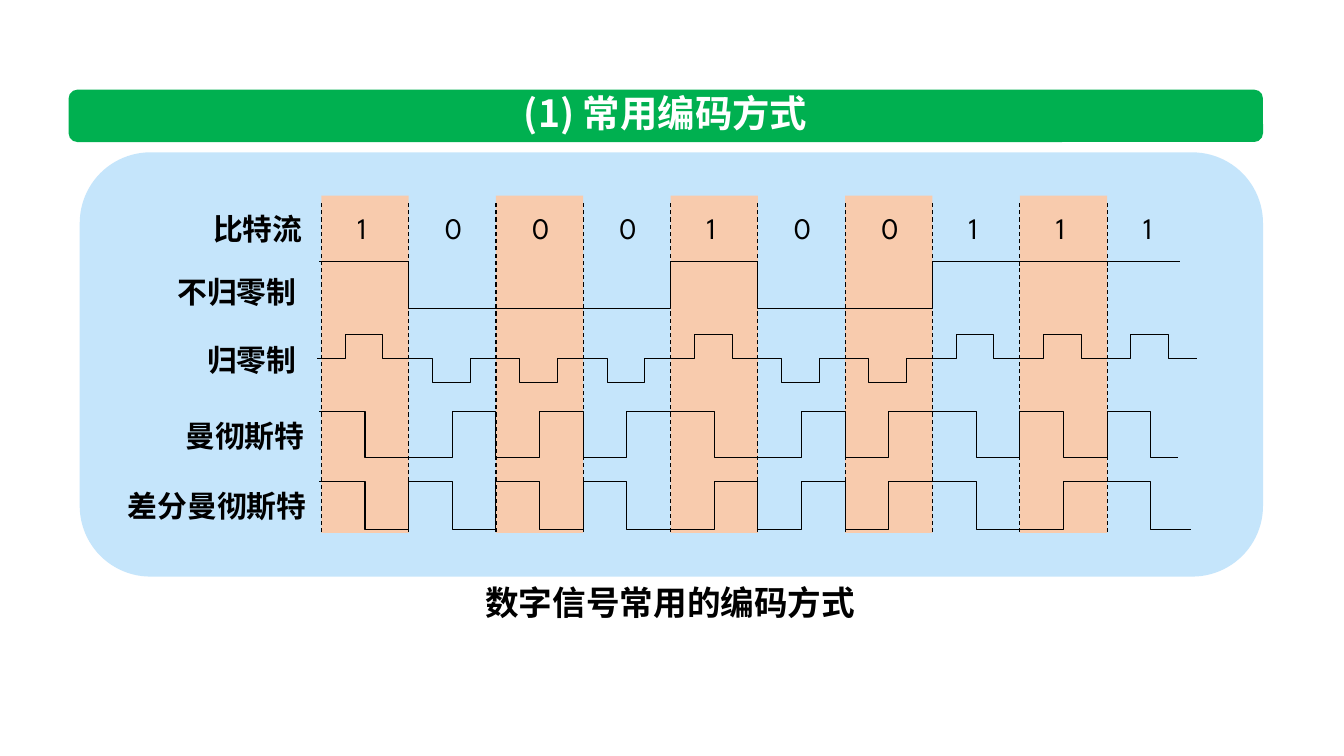
from dataclasses import dataclass

import lxml.etree
import pptx
import pptx.dml.color
import pptx.enum.dml
import pptx.enum.shapes
import pptx.enum.text
import pptx.oxml.ns
import pptx.shapes.autoshape
import pptx.shapes.base
import pptx.slide
import pptx.text.text
import pptx.util

Cm = pptx.util.Cm
Align = pptx.enum.text.PP_ALIGN
Anchor = pptx.enum.text.MSO_ANCHOR
Preset = pptx.enum.shapes.MSO_SHAPE


@dataclass(frozen=True)
class Theme:
    heading_bar: str = "00B050"
    panel: str = "C5E5FB"
    band: str = "F8CBAD"
    ink: str = "000000"
    heading_ink: str = "FFFFFF"
    chinese_font: str = "Noto Sans CJK SC"
    digit_font: str = "League Spartan"
    heading_size: float = 26.7
    caption_size: float = 24
    label_size: float = 21.3
    line_width: float = 0.75


@dataclass(frozen=True)
class Box:
    left: float
    top: float
    width: float
    height: float

    def lengths(self) -> tuple[Cm, Cm, Cm, Cm]:
        return Cm(self.left), Cm(self.top), Cm(self.width), Cm(self.height)


@dataclass(frozen=True)
class TextStyle:
    font: str
    size: float
    color: str
    bold: bool = True
    align: Align = Align.CENTER


@dataclass(frozen=True)
class RowLabel:
    text: str
    right: float
    top: float


@dataclass(frozen=True)
class Wave:
    """One signal: a high/low level for each half bit, drawn between two heights."""
    levels: list[int]
    high: float
    low: float
    end: float


THEME = Theme()
HEADING = TextStyle(THEME.chinese_font, THEME.heading_size, THEME.heading_ink)
CAPTION = TextStyle(THEME.chinese_font, THEME.caption_size, THEME.ink)
LABEL = TextStyle(THEME.chinese_font, THEME.label_size, THEME.ink, align=Align.RIGHT)
DIGIT = TextStyle(THEME.digit_font, THEME.label_size, THEME.ink, False, Align.LEFT)

BITS = [1, 0, 0, 0, 1, 0, 0, 1, 1, 1]
BIT_WIDTH = 2.2
FIRST_EDGE = 8.1
WAVE_START = 8.05
EDGES = [FIRST_EDGE + BIT_WIDTH * index for index in range(len(BITS))]

HEADING_BOX = Box(1.73, 2.26, 30.1, 1.32)
ROW_LABELS = [
    RowLabel("比特流", 7.95, 5.15),
    RowLabel("不归零制", 7.8, 6.73),
    RowLabel("归零制", 7.8, 8.46),
    RowLabel("曼彻斯特", 8.0, 10.36),
    RowLabel("差分曼彻斯特", 8.05, 12.14),
]


def differential_manchester(bits: list[int]) -> list[int]:
    """Flip in the middle of every bit, and also at the start of every 0."""
    levels: list[int] = []
    level = 1
    for bit in bits:
        first = level if bit else 1 - level
        level = 1 - first
        levels += [first, level]
    return levels


NON_RETURN = Wave([bit for bit in BITS for _ in range(2)], 6.58, 7.77, 29.74)
MANCHESTER = Wave([half for bit in BITS for half in (bit, 1 - bit)], 10.36, 11.53, 29.7)
DIFFERENTIAL = Wave(differential_manchester(BITS), 12.14, 13.34, 30.02)


def rgb(color: str) -> pptx.dml.color.RGBColor:
    return pptx.dml.color.RGBColor.from_string(color)


def write(frame: pptx.text.text.TextFrame, text: str, style: TextStyle) -> None:
    frame.word_wrap = True
    paragraph = frame.paragraphs[0]
    paragraph.alignment = style.align
    run = paragraph.add_run()
    run.text = text
    run.font.size = pptx.util.Pt(style.size)
    run.font.bold = style.bold
    run.font.color.rgb = rgb(style.color)
    run.font.name = style.font
    east_asian = lxml.etree.SubElement(run.font._element, pptx.oxml.ns.qn("a:ea"))
    east_asian.set("typeface", style.font)


def add_text(slide: pptx.slide.Slide, box: Box, text: str, style: TextStyle) -> None:
    frame = slide.shapes.add_textbox(*box.lengths()).text_frame
    frame.margin_left = frame.margin_right = Cm(0.33)
    frame.margin_top = frame.margin_bottom = Cm(0.16)
    write(frame, text, style)


def add_block(slide: pptx.slide.Slide, preset: Preset, box: Box,
              color: str) -> pptx.shapes.autoshape.Shape:
    block = slide.shapes.add_shape(preset, *box.lengths())
    block.shadow.inherit = False
    block.fill.solid()
    block.fill.fore_color.rgb = rgb(color)
    block.line.fill.background()
    return block


def add_vertical(slide: pptx.slide.Slide, x: float, top: float, bottom: float,
                 dashed: bool = False) -> None:
    connector = slide.shapes.add_connector(
        pptx.enum.shapes.MSO_CONNECTOR.STRAIGHT, Cm(x), Cm(bottom), Cm(x), Cm(top))
    connector.line.color.rgb = rgb(THEME.ink)
    connector.line.width = pptx.util.Pt(THEME.line_width)
    if dashed:
        connector.line.dash_style = pptx.enum.dml.MSO_LINE.DASH
    lxml.etree.SubElement(connector.element.spPr, pptx.oxml.ns.qn("a:effectLst"))


def add_trace(slide: pptx.slide.Slide, points: list[tuple[float, float]]) -> None:
    corners = [(Cm(x), Cm(y)) for x, y in points]
    builder = slide.shapes.build_freeform(*corners[0])
    builder.add_line_segments(corners[1:], close=False)
    trace = builder.convert_to_shape()
    trace.shadow.inherit = False
    trace.fill.background()
    trace.line.color.rgb = rgb(THEME.ink)
    trace.line.width = pptx.util.Pt(THEME.line_width)


def add_wave(slide: pptx.slide.Slide, wave: Wave) -> None:
    heights = [wave.high if level else wave.low for level in wave.levels]
    points = [(WAVE_START, heights[0])]
    for index, (before, after) in enumerate(zip(heights, heights[1:]), start=1):
        if before != after:
            x = FIRST_EDGE + index * BIT_WIDTH / 2
            points += [(x, before), (x, after)]
    add_trace(slide, points + [(wave.end, heights[-1])])


def add_return_to_zero_pulse(slide: pptx.slide.Slide, edge: float, bit: int) -> None:
    start, zero, amplitude = edge - 0.1, 9.04, 0.61
    peak = zero - amplitude if bit else zero + amplitude
    rise, fall, end = start + 0.7, start + 1.65, start + 2.36
    add_trace(slide, [(start, zero), (rise, zero), (rise, peak),
                      (fall, peak), (fall, zero), (end, zero)])


def add_heading(slide: pptx.slide.Slide) -> None:
    bar = add_block(slide, Preset.ROUNDED_RECTANGLE, HEADING_BOX, THEME.heading_bar)
    title = slide.shapes.title
    title.left, title.top, title.width, title.height = HEADING_BOX.lengths()
    title.element.addprevious(bar.element)
    title.text_frame.auto_size = pptx.enum.text.MSO_AUTO_SIZE.NONE
    title.text_frame.vertical_anchor = Anchor.MIDDLE
    write(title.text_frame, "(1) 常用编码方式", HEADING)
    title.text_frame.paragraphs[0].line_spacing = 0.9


def add_diagram(slide: pptx.slide.Slide) -> None:
    add_block(slide, Preset.ROUNDED_RECTANGLE, Box(2.01, 3.84, 29.82, 10.69), THEME.panel)
    for edge in EDGES[::2]:
        add_block(slide, Preset.RECTANGLE, Box(edge, 4.93, BIT_WIDTH, 8.5), THEME.band)
    for label in ROW_LABELS:
        add_text(slide, Box(label.right - 5.5, label.top, 5.5, 1.25), label.text, LABEL)
    for edge, bit in zip(EDGES, BITS):
        add_vertical(slide, edge, 5.05, 13.41, dashed=True)
        add_text(slide, Box(edge + 0.58, 5.13, 1.3, 1.25), str(bit), DIGIT)
        add_return_to_zero_pulse(slide, edge, bit)
    for edge, before, bit in zip(EDGES[1:], BITS, BITS[1:]):
        if before == bit:
            top = NON_RETURN.high if bit else NON_RETURN.low - 0.12
            add_vertical(slide, edge, top, top + 0.12)
    for wave in (NON_RETURN, MANCHESTER, DIFFERENTIAL):
        add_wave(slide, wave)


def main() -> None:
    presentation = pptx.Presentation()
    presentation.slide_width, presentation.slide_height = Cm(33.87), Cm(19.05)
    slide = presentation.slides.add_slide(presentation.slide_layouts[5])
    add_heading(slide)
    add_diagram(slide)
    add_text(slide, Box(11.48, 14.5, 10.82, 1.27), "数字信号常用的编码方式", CAPTION)
    presentation.save("out.pptx")


if __name__ == "__main__":
    main()
